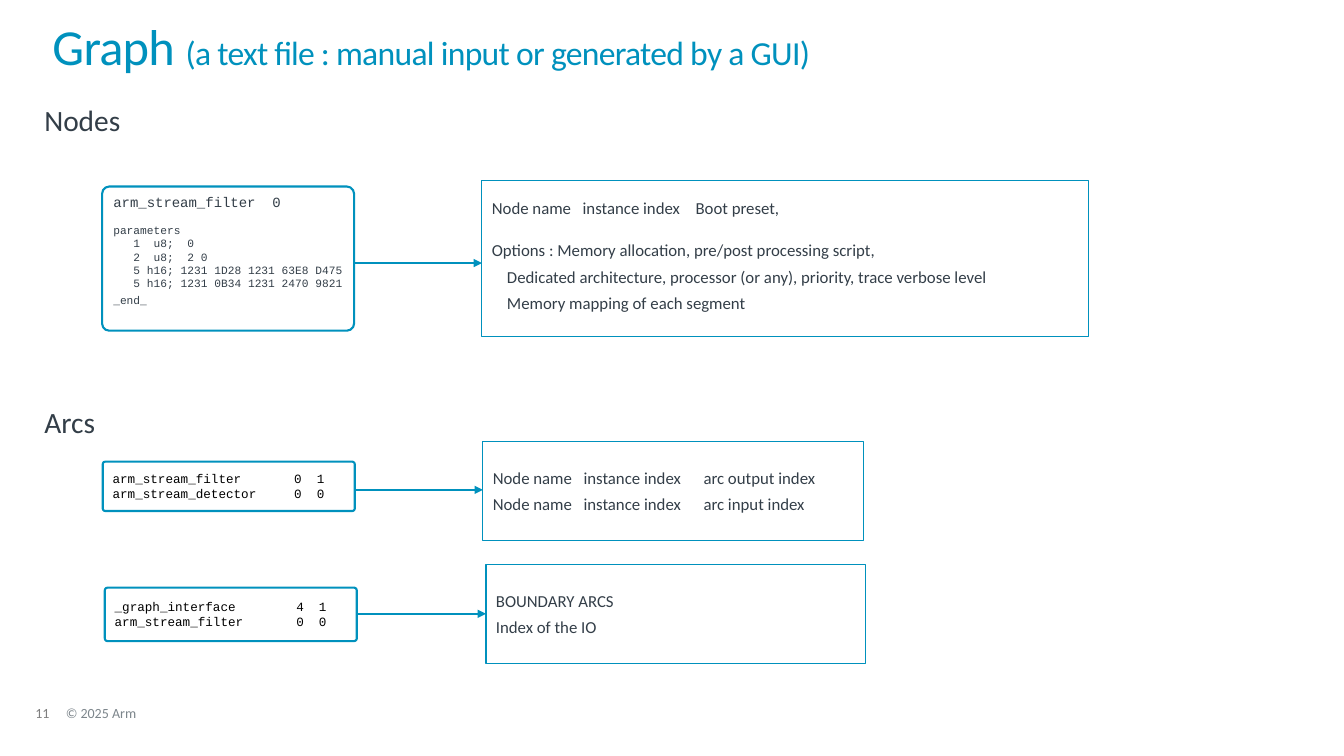
from lxml import etree
from pptx import Presentation
from pptx.dml.color import RGBColor
from pptx.enum.shapes import MSO_CONNECTOR, MSO_SHAPE
from pptx.enum.text import MSO_ANCHOR, MSO_AUTO_SIZE, PP_ALIGN
from pptx.oxml.ns import qn
from pptx.util import Inches, Pt

RECT, ROUND = MSO_SHAPE.RECTANGLE, MSO_SHAPE.ROUNDED_RECTANGLE
STRAIGHT = MSO_CONNECTOR.STRAIGHT
TOP, MIDDLE = MSO_ANCHOR.TOP, MSO_ANCHOR.MIDDLE
LEFT = PP_ALIGN.LEFT
NO_FIT = MSO_AUTO_SIZE.NONE
COLORS = {"accent": "0091BD", "text": "333E48", "code": "000000",
          "number": "7F7F7F", "footer": "7D868C"}

prs = Presentation()
prs.slide_width, prs.slide_height = Inches(13.33), Inches(7.5)
COL, ROW = prs.slide_width / 100, prs.slide_height / 100
s = prs.slides.add_slide(prs.slide_layouts[5])


def grid(*lengths):
    return [int(n * unit) for n, unit in zip(lengths, (COL, ROW, COL, ROW))]


def write(tf, text, new=True, size=12, font="Calibri", color="text", spacing=0.9,
          before=0, after=6, indent=0, tabs=(), track=None):
    p = tf.add_paragraph() if new and tf.text else tf.paragraphs[-1]
    p.alignment, p.line_spacing = LEFT, spacing
    p.space_before, p.space_after = Pt(before), Pt(after)
    pPr = p._p.get_or_add_pPr()
    if indent:
        pPr.set("marL", str(Inches(indent)))
        pPr.set("indent", "0")
    if tabs:
        tab_list = etree.SubElement(pPr, qn("a:tabLst"))
        for pos in tabs:
            etree.SubElement(tab_list, qn("a:tab"), pos=str(Inches(pos)), algn="l")
    r = p.add_run()
    r.text = text
    r.font.size, r.font.name = Pt(size), font
    r.font.color.rgb = RGBColor.from_string(COLORS[color])
    if track is not None:
        r._r.get_or_add_rPr().set("spc", str(track))


title = s.shapes.title
title.left, title.top, title.width, title.height = grid(3.9, 3.2, 92.12, 9.6)
tf = title.text_frame
tf.auto_size, tf.vertical_anchor = NO_FIT, TOP
tf.margin_left = tf.margin_right = tf.margin_top = tf.margin_bottom = 0
write(tf, "Graph ", size=36, color="accent", spacing=0.85, after=0, track=-50)
write(tf, "(a text file : manual input or generated by a GUI)", new=False,
      size=24, color="accent", spacing=0.85, after=0, track=-50)

labels = [
    ("Nodes", (3.3, 14, 21, 4.27), 21, "text"),
    ("Arcs", (3.3, 54, 21, 4.27), 21, "text"),
    ("11", (2.63, 93.5, 2.2, 2), 10, "number"),
    ("© 2025 Arm", (4.9, 93.5, 38, 2), 10, "footer"),
]
for text, place, size, color in labels:
    tf = s.shapes.add_textbox(*grid(*place)).text_frame
    tf.word_wrap = True
    tf.margin_left = tf.margin_right = tf.margin_top = tf.margin_bottom = 0
    write(tf, text, size=size, color=color)

node_code = [("arm_stream_filter  0", dict(size=10, after=9))]
node_code += [(line, dict(size=8)) for line in (
    "parameters",
    "   1  u8;  0",
    "   2  u8;  2 0",
    "   5 h16; 1231 1D28 1231 63E8 D475",
    "   5 h16; 1231 0B34 1231 2470 9821")]
node_code += [("_end_", dict(size=8, before=2))]
node_notes = [
    ("Node name\tinstance index\tBoot preset,", dict(tabs=(0.9, 2.02), after=17.5)),
    ("Options : Memory allocation, pre/post processing script,", {}),
    ("Dedicated architecture, processor (or any), priority, trace verbose level",
     dict(indent=0.15)),
    ("Memory mapping of each segment", dict(indent=0.15)),
]
arc_code = [
    ("arm_stream_filter       0  1", dict(color="code")),
    ("arm_stream_detector     0  0", dict(color="code")),
]
arc_notes = [
    ("Node name\tinstance index\tarc output index", dict(tabs=(0.9, 2.09))),
    ("Node name\tinstance index\tarc input index", dict(tabs=(0.9, 2.09))),
]
boundary_code = [
    ("_graph_interface        4  1", dict(color="code")),
    ("arm_stream_filter       0  0", dict(color="code")),
]
boundary_notes = [("BOUNDARY ARCS", {}), ("Index of the IO", {})]

CODE = dict(size=9, font="Courier New", spacing=1, after=0)
rows = [
    ((7.6, 24.67, 18.75, 19.07), node_code, TOP,
     (35.86, 23.87, 45.16, 20.67), node_notes, 0.19, 34.8),
    ((7.65, 61.07, 18.75, 6.53), arc_code, MIDDLE,
     (35.93, 58.4, 28.36, 13.07), arc_notes, 0.28, 64.8),
    ((7.8, 77.73, 18.75, 7.07), boundary_code, MIDDLE,
     (36.16, 74.67, 28.21, 13.07), boundary_notes, 0.28, 81.2),
]
for code_at, code, anchor, notes_at, notes, notes_top, arrow_y in rows:
    boxes = [
        (ROUND, code_at, 1.5, code, CODE, anchor, 0.09, 0.05),
        (RECT, notes_at, 0.75, notes, {}, TOP, 0.1, notes_top),
    ]
    for kind, place, weight, lines, style, v_anchor, left, top in boxes:
        sp = s.shapes.add_shape(kind, *grid(*place))
        sp.shadow.inherit = False
        sp.fill.background()
        sp.line.color.rgb = RGBColor.from_string(COLORS["accent"])
        sp.line.width = Pt(weight)
        if kind == ROUND:
            sp.adjustments[0] = 0.05
        tf = sp.text_frame
        tf.word_wrap, tf.vertical_anchor = True, v_anchor
        tf.margin_left, tf.margin_top = Inches(left), Inches(top)
        tf.margin_right = 0
        tf.margin_bottom = Inches(0.05) if v_anchor == MIDDLE else 0
        for text, extra in lines:
            write(tf, text, **{**style, **extra})

    start = code_at[0] + code_at[2]
    arrow = s.shapes.add_connector(STRAIGHT, *grid(start, arrow_y, notes_at[0], arrow_y))
    arrow.line.color.rgb = RGBColor.from_string(COLORS["accent"])
    arrow.line.width = Pt(1)
    etree.SubElement(arrow.line._get_or_add_ln(), qn("a:tailEnd"), type="triangle")
    etree.SubElement(arrow._element.spPr, qn("a:effectLst"))

prs.save("out.pptx")
